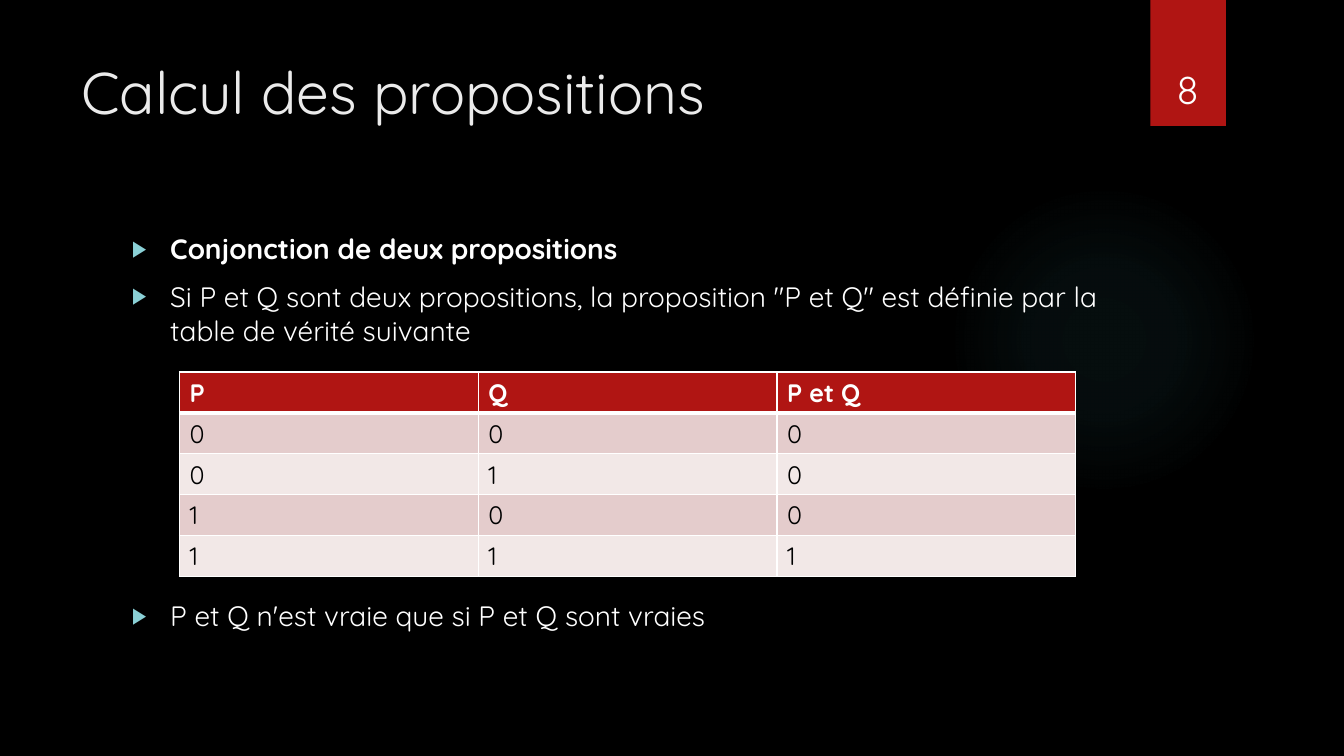
from lxml.etree import SubElement
from pptx import Presentation
from pptx.dml.color import RGBColor
from pptx.enum.shapes import MSO_SHAPE as Preset
from pptx.enum.text import MSO_ANCHOR as Anchor, PP_ALIGN as Align
from pptx.oxml import parse_xml
from pptx.oxml.ns import nsdecls, qn
from pptx.util import Inches, Pt

COLOURS = {
    "background": "000000", "glow": "50B9C1", "red": "B01513", "title": "EBEBEB",
    "white": "FFFFFF", "black": "000000", "bullet": "8AD0D6",
    "dark_row": "E4CCCC", "light_row": "F2E8E7",
}


class SlideBuilder:
    """Holds the shared style and the slide being built."""

    font_name = "Quicksand"

    def __init__(self, presentation):
        self.slide = presentation.slides.add_slide(presentation.slide_layouts[6])
        self.fill(self.slide.background, "background")

    def colour(self, name):
        return RGBColor.from_string(COLOURS[name])

    def fill(self, target, name):
        target.fill.solid()
        target.fill.fore_color.rgb = self.colour(name)

    def shape(self, preset, box, colour):
        shape = self.slide.shapes.add_shape(preset, *map(Inches, box))
        shape.shadow.inherit = False
        shape.line.fill.background()
        self.fill(shape, colour)
        return shape

    def glow(self, box, colour, stops):
        shape = self.shape(Preset.OVAL, box, colour)
        stop_xml = "".join(
            f'<a:gs pos="{position * 1000}"><a:srgbClr val="{COLOURS[colour]}">'
            f'<a:alpha val="{alpha * 1000}"/></a:srgbClr></a:gs>'
            for position, alpha in stops)
        gradient = parse_xml(
            f'<a:gradFill {nsdecls("a")}><a:gsLst>{stop_xml}</a:gsLst><a:path path="circle">'
            '<a:fillToRect l="50000" t="50000" r="50000" b="50000"/></a:path></a:gradFill>')
        properties = shape.element.spPr
        properties.replace(properties.find(qn("a:solidFill")), gradient)

    def styled_run(self, paragraph, text, size, colour, bold=False):
        run = paragraph.add_run()
        run.text = text
        style = {"name": self.font_name, "size": Pt(size), "bold": bold}
        for attribute, value in style.items():
            setattr(run.font, attribute, value)
        run.font.color.rgb = self.colour(colour)

    def text_frame(self, box, anchor=Anchor.TOP):
        frame = self.slide.shapes.add_textbox(*map(Inches, box)).text_frame
        frame.word_wrap = True
        frame.vertical_anchor = anchor
        return frame

    def label(self, box, text, size, colour, align=Align.LEFT, anchor=Anchor.TOP):
        paragraph = self.text_frame(box, anchor).paragraphs[0]
        paragraph.alignment = align
        self.styled_run(paragraph, text, size, colour)

    def bullets(self, box, items):
        frame = self.text_frame(box)
        for index, (text, bold, space_before) in enumerate(items):
            paragraph = frame.add_paragraph() if index else frame.paragraphs[0]
            paragraph.space_before = Pt(space_before)
            self.styled_run(paragraph, text, 20, "white", bold)
            properties = paragraph._p.get_or_add_pPr()
            properties.set("marL", str(Inches(0.38)))
            properties.set("indent", str(Inches(-0.38)))
            bullet_colour = SubElement(properties, qn("a:buClr"))
            SubElement(bullet_colour, qn("a:srgbClr"), val=COLOURS["bullet"])
            SubElement(properties, qn("a:buSzPct"), val="80000")
            SubElement(properties, qn("a:buFont"), typeface="Arial")
            SubElement(properties, qn("a:buChar"), char="▶")

    def borders(self, cell, widths):
        properties = cell._tc.get_or_add_tcPr()
        for position, (side, width) in enumerate(widths.items()):
            properties.insert(position, parse_xml(
                f'<a:{side} {nsdecls("a")} w="{Pt(width)}"><a:solidFill>'
                f'<a:srgbClr val="{COLOURS["white"]}"/></a:solidFill></a:{side}>'))

    def table(self, box, rows):
        table = self.slide.shapes.add_table(
            len(rows), len(rows[0]), *map(Inches, box)).table
        for row_index, row in enumerate(rows):
            header = row_index == 0
            row_colour = "red" if header else ("light_row", "dark_row")[row_index % 2]
            for column_index, text in enumerate(row):
                cell = table.cell(row_index, column_index)
                self.fill(cell, row_colour)
                self.styled_run(cell.text_frame.paragraphs[0], text, 18,
                                "white" if header else "black", header)
                self.borders(cell, {"lnL": 1, "lnR": 1,
                                    "lnT": 3 if row_index == 1 else 1,
                                    "lnB": 3 if header else 1})


def main():
    presentation = Presentation()
    presentation.slide_width = Inches(13.33)
    presentation.slide_height = Inches(7.5)
    builder = SlideBuilder(presentation)
    builder.glow((9.41, 1.83, 3.08, 3.08), "glow", [(0, 7), (36, 6), (69, 0)])
    builder.shape(Preset.RECTANGLE, (11.41, 0, 0.75, 1.25), "red")
    builder.label((0.71, 0.5, 10.29, 1.53), "Calcul des propositions", 42, "title")
    builder.bullets((1.21, 2.25, 9.78, 4.59), [
        ("Conjonction de deux propositions", True, 10),
        ('Si P et Q sont deux propositions, la proposition "P et Q" est définie '
         "par la table de vérité suivante", False, 10),
        ("P et Q n'est vraie que si P et Q sont vraies", False, 180),
    ])
    builder.label((11.32, 0.32, 0.92, 0.84), "8", 28, "white", Align.CENTER, Anchor.BOTTOM)
    truth_rows = [(p, q, p & q) for p in (0, 1) for q in (0, 1)]
    builder.table((1.78, 3.69, 8.89, 2.03),
                  [("P", "Q", "P et Q")] + [tuple(map(str, row)) for row in truth_rows])
    presentation.save("out.pptx")


if __name__ == "__main__":
    main()
